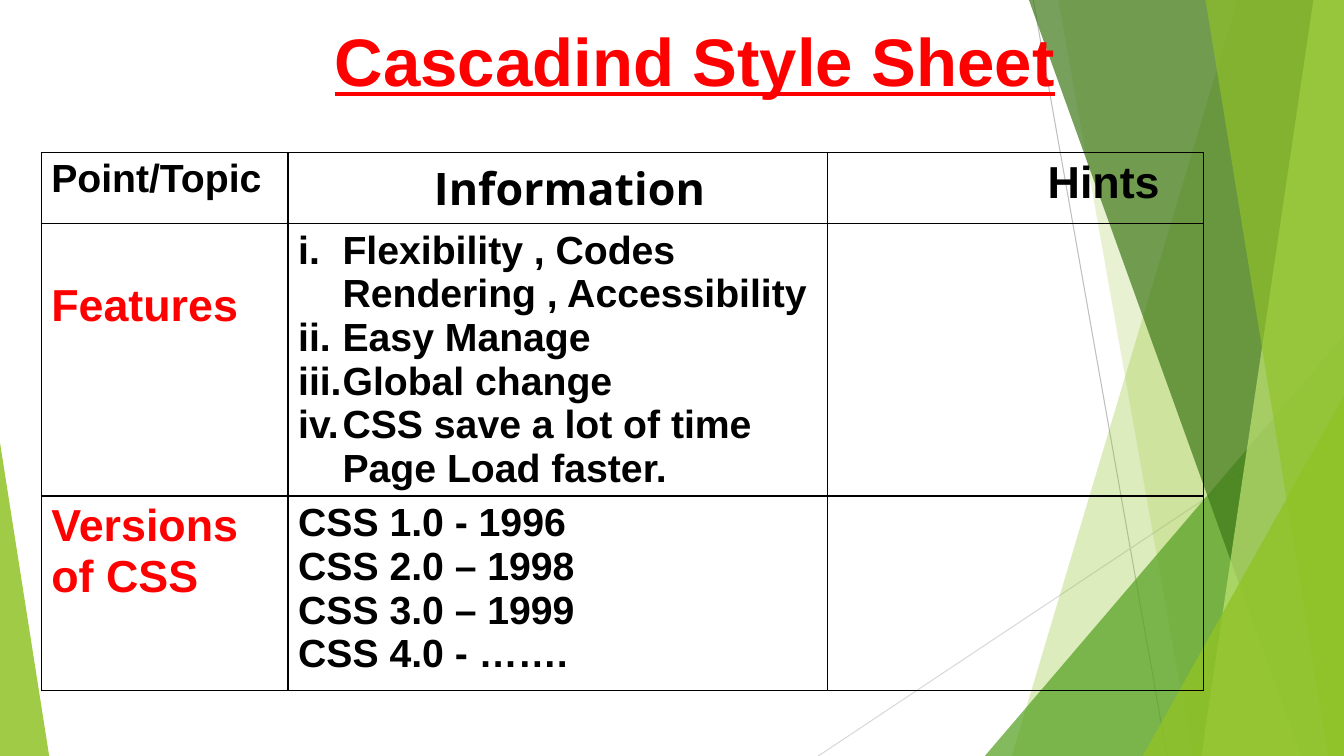
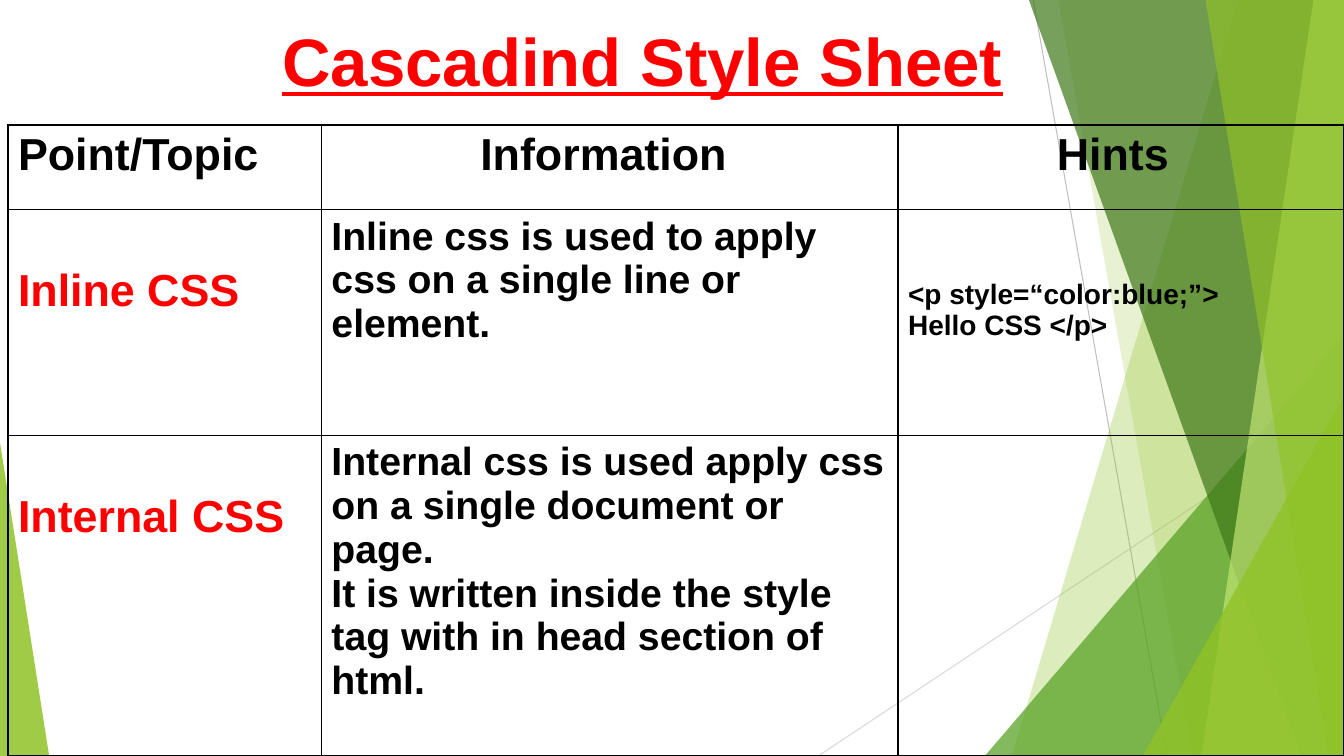
from lxml import etree
from pptx import Presentation
from pptx.dml.color import RGBColor
from pptx.enum.shapes import MSO_CONNECTOR, MSO_SHAPE
from pptx.enum.text import MSO_ANCHOR, MSO_AUTO_SIZE, PP_ALIGN
from pptx.oxml.ns import qn
from pptx.util import Cm, Pt

LINE = MSO_CONNECTOR.STRAIGHT
WEDGE = MSO_SHAPE.ISOSCELES_TRIANGLE
TOP, FIXED = MSO_ANCHOR.TOP, MSO_AUTO_SIZE.NONE
LEFT, MID = PP_ALIGN.LEFT, PP_ALIGN.CENTER
WIDE, HIGH = 33.87, 19.05
TITLE_ONLY = 5

HEX = {
    "lime": "90C226", "green": "54A021", "forest": "3F7819", "pale": "C0E474",
    "grey": "BFBFBF", "mist": "D9D9D9", "red": "FF0000", "black": "000000",
}
TITLE = {"name": "Arial", "size": Pt(48), "bold": True, "underline": True}
HEAD = {"name": "Arial", "size": Pt(32), "bold": True}
SMALL = {**HEAD, "size": Pt(28)}
OPEN = {**HEAD, "name": "Open Sans"}
CODE = {**HEAD, "size": Pt(20)}

RAYS = [(26.04, 0, 29.41, HIGH, "grey"), (WIDE, 10.24, 20.62, HIGH, "mist")]
# Bands: top x, bottom x, colour, opacity. Wedges: left, top, width, lean, colour, opacity.
BACK = [(31.19, 25.5, "lime", 30), (26.67, 30.05, "lime", 20)]
FRONT = [(25.93, 32.79, "forest", 70), (33.1, 30.28, "pale", 70),
         (30.38, 33.48, "lime", 65)]
LOW = (24.82, 8.46, 9.05, 1, "green", 72)
SIDES = [(28.8, 9.98, 5.07, 1, "lime", 80), (0, 11.15, 1.24, 0, "lime", 85)]


def rgb(name):
    """Return the named colour."""
    return RGBColor.from_string(HEX[name])


def style(font, form, color):
    """Set font values from a dict, then the colour."""
    for key, value in form.items():
        setattr(font, key, value)
    font.color.rgb = rgb(color)


def tint(shape, color, alpha):
    """Give a shape a see-through fill without line or shadow."""
    shape.shadow.inherit = False
    shape.line.fill.background()
    shape.fill.solid()
    shape.fill.fore_color.rgb = rgb(color)
    tone = shape.element.spPr.find(".//" + qn("a:srgbClr"))
    etree.SubElement(tone, qn("a:alpha")).set("val", str(alpha * 1000))


def ray(shapes, x1, y1, x2, y2, color):
    """Draw a thin line."""
    line = shapes.add_connector(LINE, Cm(x1), Cm(y1), Cm(x2), Cm(y2))
    line.line.color.rgb = rgb(color)
    line.line.width = Pt(0.75)
    etree.SubElement(line.element.spPr, qn("a:effectLst"))


def band(shapes, top, base, color, alpha):
    """Draw a slanted band that reaches the right edge."""
    pen = shapes.build_freeform(Cm(top), 0)
    pen.add_line_segments([(Cm(WIDE), 0), (Cm(WIDE), Cm(HIGH)),
                           (Cm(base), Cm(HIGH))])
    tint(pen.convert_to_shape(), color, alpha)


def wedge(shapes, left, top, width, lean, color, alpha):
    """Draw a triangle that stands on the bottom edge."""
    shape = shapes.add_shape(WEDGE, Cm(left), Cm(top), Cm(width),
                             Cm(HIGH - top))
    shape.adjustments[0] = lean
    tint(shape, color, alpha)


def decor(slide):
    """Draw the green facets and move them to the shared layout."""
    shapes = slide.shapes
    first = len(shapes)
    for item in RAYS:
        ray(shapes, *item)
    for item in BACK:
        band(shapes, *item)
    wedge(shapes, *LOW)
    for item in FRONT:
        band(shapes, *item)
    for item in SIDES:
        wedge(shapes, *item)
    tree = slide.slide_layout.shapes.element
    for spot, shape in enumerate(list(shapes)[first:], 2):
        tree.insert(spot, shape.element)


def title(slide, text, left, width, height):
    """Place and format the title."""
    shape = slide.shapes.title
    place = {"left": Cm(left), "top": Cm(0.36), "width": Cm(width),
             "height": Cm(height)}
    for key, value in place.items():
        setattr(shape, key, value)
    frame = shape.text_frame
    frame.text = text
    frame.auto_size, frame.vertical_anchor = FIXED, TOP
    para = frame.paragraphs[0]
    para.alignment = LEFT
    style(para.runs[0].font, TITLE, "red")


def border(cell):
    """Draw a black line on all four sides of a cell."""
    props = cell._tc.get_or_add_tcPr()
    for spot, side in enumerate(("lnL", "lnR", "lnT", "lnB")):
        line = etree.Element(qn("a:" + side), w=str(Pt(1)))
        fill = etree.SubElement(line, qn("a:solidFill"))
        etree.SubElement(fill, qn("a:srgbClr"), val=HEX["black"])
        props.insert(spot, line)


def entry(text="", form=SMALL, color="black", drop=0, shift=0, align=LEFT,
          count=False):
    """Describe a cell: its text, format, top gap, indent and numbering."""
    return {"text": text, "form": form, "color": color, "drop": drop,
            "shift": shift, "align": align, "count": count}


def topic(text, drop=1.3):
    """Describe a red topic cell."""
    return entry(text, HEAD, "red", drop)


def write(cell, item):
    """Fill one table cell."""
    cell.fill.background()
    border(cell)
    cell.margin_top = Cm(0.13 + item["drop"])
    cell.text = item["text"]
    for para in cell.text_frame.paragraphs:
        para.alignment = item["align"]
        style(para.font, item["form"], item["color"])
        for run in para.runs:
            style(run.font, item["form"], item["color"])
        props = para._p.get_or_add_pPr()
        props.set("marL", str(Cm(item["shift"])))
        if item["count"]:
            props.set("indent", str(-Cm(item["shift"])))
            mark = etree.Element(qn("a:buAutoNum"), type="romanLcPeriod")
            props.insert(0, mark)


def grid(slide, left, top, cols, rows, cells):
    """Add a bordered table without fill."""
    frame = slide.shapes.add_table(len(rows), len(cols), Cm(left), Cm(top),
                                   Cm(sum(cols)), Cm(sum(rows)))
    table = frame.table
    table.first_row = table.horz_banding = False
    for col, width in zip(table.columns, cols):
        col.width = Cm(width)
    for row, height, items in zip(table.rows, rows, cells):
        row.height = Cm(height)
        for cell, item in zip(row.cells, items):
            write(cell, item)


def main():
    """Build both slides and save them."""
    deck = Presentation()
    deck.slide_width, deck.slide_height = Cm(WIDE), Cm(HIGH)
    layout = deck.slide_layouts[TITLE_ONLY]
    name = "Cascadind Style Sheet"

    slide = deck.slides.add_slide(layout)
    decor(slide)
    title(slide, name, 8.18, 19.86, 1.42)
    grid(slide, 1.04, 3.84, [6.22, 13.59, 9.47], [1.79, 6.86, 4.9], [
        [entry("Point/Topic"),
         entry("Information", OPEN, shift=0.6, align=MID),
         entry("Hints", HEAD, shift=5.3)],
        [topic("Features"),
         entry("Flexibility , Codes Rendering , Accessibility\n"
               "Easy Manage\nGlobal change\n"
               "CSS save a lot of time Page Load faster.",
               shift=1.12, count=True),
         entry()],
        [topic("Versions of CSS", 0),
         entry("CSS 1.0 - 1996\nCSS 2.0 – 1998\nCSS 3.0 – 1999\n"
               "CSS 4.0 - ……."),
         entry()],
    ])

    slide = deck.slides.add_slide(layout)
    title(slide, name, 6.86, 21.84, 2.59)
    grid(slide, 0.2, 3.15, [7.9, 14.53, 11.23], [2.13, 5.69, 8.08], [
        [entry("Point/Topic", HEAD),
         entry("Information", HEAD, shift=3.75),
         entry("Hints", HEAD, shift=3.75)],
        [topic("Inline CSS"),
         entry("Inline css is used to apply css on a single line or "
               "element."),
         entry("<p style=“color:blue;”>\nHello CSS </p>", CODE, drop=1.62)],
        [topic("Internal CSS"),
         entry("Internal css is used apply css on a single document or "
               "page.\nIt is written inside the style tag with in head "
               "section of html."),
         entry()],
    ])
    deck.save("out.pptx")


if __name__ == "__main__":
    main()
